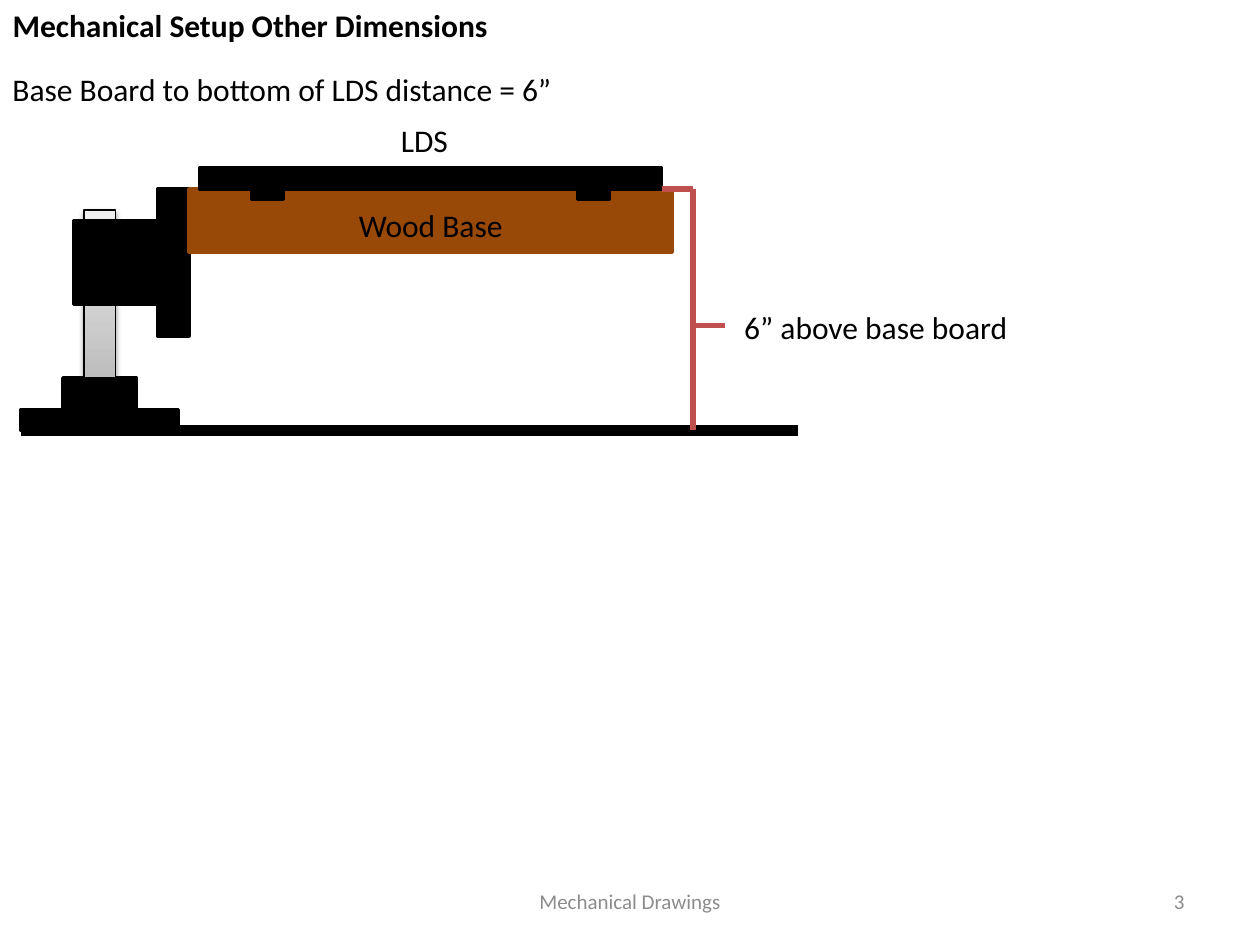
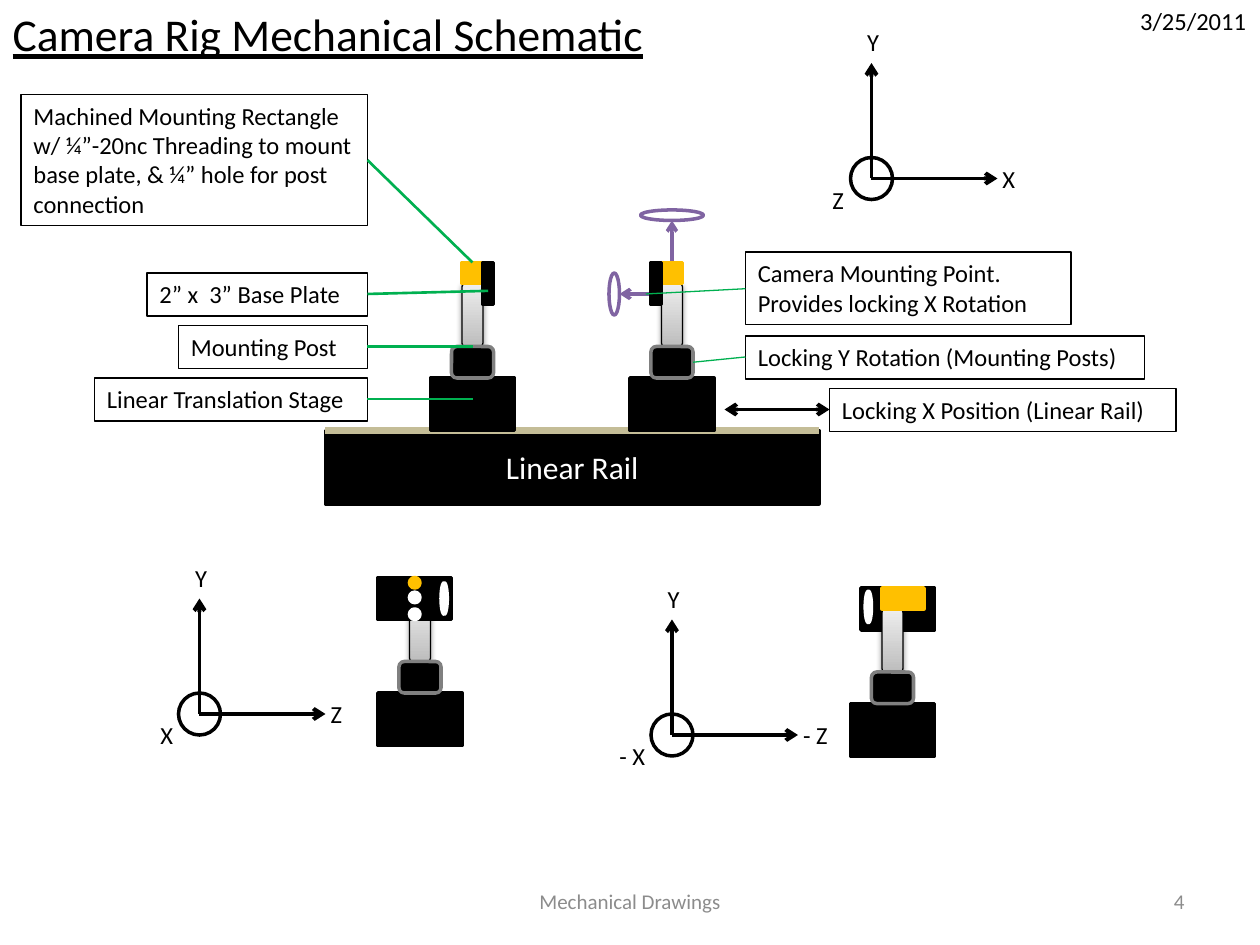
from dataclasses import dataclass
from lxml import etree
from pptx import Presentation
from pptx.dml.color import RGBColor
from pptx.enum.shapes import MSO_CONNECTOR, MSO_SHAPE
from pptx.enum.text import MSO_ANCHOR, PP_ALIGN
from pptx.oxml.ns import qn
from pptx.util import Inches, Pt

RECT, ROUND, OVAL = MSO_SHAPE.RECTANGLE, MSO_SHAPE.ROUNDED_RECTANGLE, MSO_SHAPE.OVAL
LINE = MSO_CONNECTOR.STRAIGHT
TOP, MID = MSO_ANCHOR.TOP, MSO_ANCHOR.MIDDLE
LEFT, CENTER, RIGHT = PP_ALIGN.LEFT, PP_ALIGN.CENTER, PP_ALIGN.RIGHT


@dataclass
class Theme:
    font: str = "Calibri"
    black: str = "000000"
    white: str = "FFFFFF"
    wood: str = "984807"
    red: str = "C0504D"
    gold: str = "FFC000"
    green: str = "00B050"
    plum: str = "8064A2"
    tan: str = "C4BD97"
    edge: str = "808080"
    dim: str = "8C8C8C"
    dark: str = "BDBDBD"
    light: str = "EEEEEE"
    head: int = 26
    body: int = 18
    note: int = 14
    foot: int = 12


T = Theme()
deck = Presentation()
deck.slide_width, deck.slide_height = Inches(10), Inches(7.5)
U = deck.slide_width // 120


def draw(pool, kind, area, fill=None, edge=None, thick=2, text="", size=T.body,
         ink=T.black, align=LEFT, anchor=TOP, wrap=True):
    place = [round(n * U) for n in area]
    if kind is None:
        item = pool.add_textbox(*place)
    else:
        item = pool.add_shape(kind, *place)
        item.shadow.inherit = False
        if fill == "steel":
            item.fill.gradient()
            item.fill.gradient_angle = 90
            for stop, tone in zip(item.fill.gradient_stops, (T.dark, T.light)):
                stop.color.rgb = RGBColor.from_string(tone)
            glow = etree.SubElement(item._element.spPr.find(qn("a:effectLst")), qn("a:outerShdw"),
                                    blurRad="40000", dist="20000", dir="5400000", rotWithShape="0")
            tint = etree.SubElement(glow, qn("a:srgbClr"), val=T.black)
            etree.SubElement(tint, qn("a:alpha"), val="38000")
        elif fill:
            item.fill.solid()
            item.fill.fore_color.rgb = RGBColor.from_string(fill)
        else:
            item.fill.background()
        item.line.color.rgb = RGBColor.from_string(edge or fill)
        item.line.width = Pt(thick)
    if text:
        frame = item.text_frame
        frame.word_wrap, frame.vertical_anchor = wrap, anchor
        para = frame.paragraphs[0]
        para.text, para.alignment = text, align
        para.font.name, para.font.size = T.font, Pt(size)
        para.font.color.rgb = RGBColor.from_string(ink)


def wire(pool, ends, ink, thick, tips=()):
    item = pool.add_connector(LINE, *[round(n * U) for n in ends])
    item.line.color.rgb = RGBColor.from_string(ink)
    item.line.width = Pt(thick)
    for tip in tips:
        etree.SubElement(item.line._get_or_add_ln(), qn(f"a:{tip}End"), type="arrow")
    etree.SubElement(item._element.spPr, qn("a:effectLst"))


pages = []
for num, text, size, wide, high, bold in (
        (3, "Mechanical Setup Other Dimensions", T.body, 48, 4.8, True),
        (4, "Camera Rig Mechanical Schematic", T.head, 63.1, 6.5, False)):
    slide = deck.slides.add_slide(deck.slide_layouts[5])
    title = slide.shapes.title
    title.left, title.top, title.width, title.height = 0, 0, round(wide * U), round(high * U)
    frame = title.text_frame
    frame.word_wrap, frame.vertical_anchor = False, TOP
    para = frame.paragraphs[0]
    para.text, para.alignment = text, LEFT
    para.font.name, para.font.size = T.font, Pt(size)
    para.font.bold, para.font.underline = bold, not bold
    para.font.color.rgb = RGBColor.from_string(T.black)
    for area, text, align in (((86, 83.4, 28, 4.8), str(num), RIGHT),
                              ((41, 83.4, 38, 4.8), "Mechanical Drawings", CENTER)):
        draw(slide.shapes, None, area, text=text, size=T.foot, ink=T.dim, align=align, anchor=MID)
    pages.append(slide.shapes)

setup, rig = pages

stand = setup.add_group_shape().shapes
for area, fill in (((2, 39, 15, 2), T.black), ((6, 36, 7, 3), T.black),
                   ((8, 20, 3, 16), "steel"), ((7, 21, 8, 8), T.black),
                   ((15, 18, 3, 14), T.black)):
    steel = fill == "steel"
    draw(stand, RECT, area, fill, T.black, 0.75 if steel else 2)
for area, fill in (((18, 18, 46, 6), T.wood), ((19, 16, 44, 2), T.black),
                   ((24, 18, 3, 1), T.black), ((55, 18, 3, 1), T.black)):
    draw(setup, RECT, area, fill)
wire(setup, (2, 41, 76, 41), T.black, 6)
for ends in ((66, 18, 66, 41), (63, 18, 66, 18), (69, 31, 66, 31)):
    wire(setup, ends, T.red, 3)
for x, y, wide, text in ((0, 6.1, 54.4, "Base Board to bottom of LDS distance = 6”"),
                         (37, 10.9, 7, "LDS"), (33, 19, 16.3, "Wood Base"),
                         (69.7, 28.7, 27.8, "6” above base board")):
    draw(setup, None, (x, y, wide, 4.8), text=text, wrap=False)

draw(rig, None, (107.4, 0, 12.6, 4.1), text="3/25/2011", size=T.note, wrap=False)
for x, y, up, side, near, wide in ((83, 17, "Y", "X", "Z", 3.6),
                                   (19, 68, "Y", "Z", "X", 3.6),
                                   (64, 70, "Y", "- Z", "- X", 4.9)):
    axes = rig.add_group_shape().shapes
    wire(axes, (x, y, x, y - 11), T.black, 2.25, ["tail"])
    wire(axes, (x, y, x + 12, y), T.black, 2.25, ["tail"])
    draw(axes, OVAL, (x - 2, y - 2, 4, 4), edge=T.black)
    for left, top, span, text in ((x - 1.6, y - 15, 3.6, up), (x + 11.3, y - 2, wide, side),
                                  (x - 1.3 - wide, y, wide, near)):
        draw(axes, None, (left, top, span, 4.1), text=text, size=T.note, wrap=False)

draw(rig, RECT, (31, 41, 47, 7), T.black, text="Linear Rail", ink=T.white,
     align=CENTER, anchor=MID)
wire(rig, (31, 41, 78, 41), T.tan, 4.5)
for area in ((61, 20, 6, 1), (58, 26, 1, 4)):
    draw(rig, OVAL, area, T.white, T.plum)
for ends in ((64, 30, 64, 21), (62.4, 28, 59, 28)):
    wire(rig, ends, T.plum, 2, ["tail"])

draw(rig, RECT, (82, 56, 7, 4), T.black)
for x, y, cap in ((41, 25, 2), (60, 25, 2), (36, 55, 2), (81, 56, 4)):
    post = rig.add_group_shape().shapes
    draw(post, RECT, (x, y + 11, 8, 5), T.black)
    draw(post, ROUND, (x + 3, y + 2, 2, 6), "steel", T.black, 0.75)
    draw(post, RECT, (x + 3, y, cap, 2), T.gold)
    draw(post, ROUND, (x + 2, y + 8, 4, 3), T.black, T.edge)
for area in ((46, 25, 1, 4), (62, 25, 1, 4), (36, 55, 7, 4)):
    draw(rig, RECT, area, T.black)
for area, fill in (((42, 55.5, 0.6, 3), T.white), ((82.4, 56.3, 0.6, 3), T.white),
                   ((39, 55, 1, 1), T.gold), ((39, 56.4, 1, 1), T.white),
                   ((39, 58, 1, 1), T.white)):
    draw(rig, OVAL, area, fill)

for area, text in (
        ((2, 9, 33, 12.5), "Machined Mounting Rectangle w/ ¼”-20nc Threading to mount "
                           "base plate, & ¼” hole for post connection"),
        ((14, 26, 21, 4.1), "2” x  3” Base Plate"),
        ((17, 31, 18, 4.1), "Mounting Post"),
        ((9, 36, 26, 4.1), "Linear Translation Stage"),
        ((71, 24, 31, 6.9), "Camera Mounting Point. Provides locking X Rotation"),
        ((71, 32, 38, 4.1), "Locking Y Rotation (Mounting Posts)"),
        ((79, 37, 33, 4.1), "Locking X Position (Linear Rail)")):
    draw(rig, RECT, area, edge=T.black, thick=0.75, text=text, size=T.note)
for ends, thick in (((35, 15.25, 45, 25), 1.5), ((46.5, 27.7, 35, 28), 1.5),
                    ((45, 33, 35, 33), 1.5), ((45, 38, 35, 38), 1.5),
                    ((71, 27.5, 61.5, 28), 0.75), ((71, 34, 66, 34.5), 0.75)):
    wire(rig, ends, T.green, thick)
wire(rig, (69, 39, 79, 39), T.black, 2.25, ["head", "tail"])

deck.save("out.pptx")
